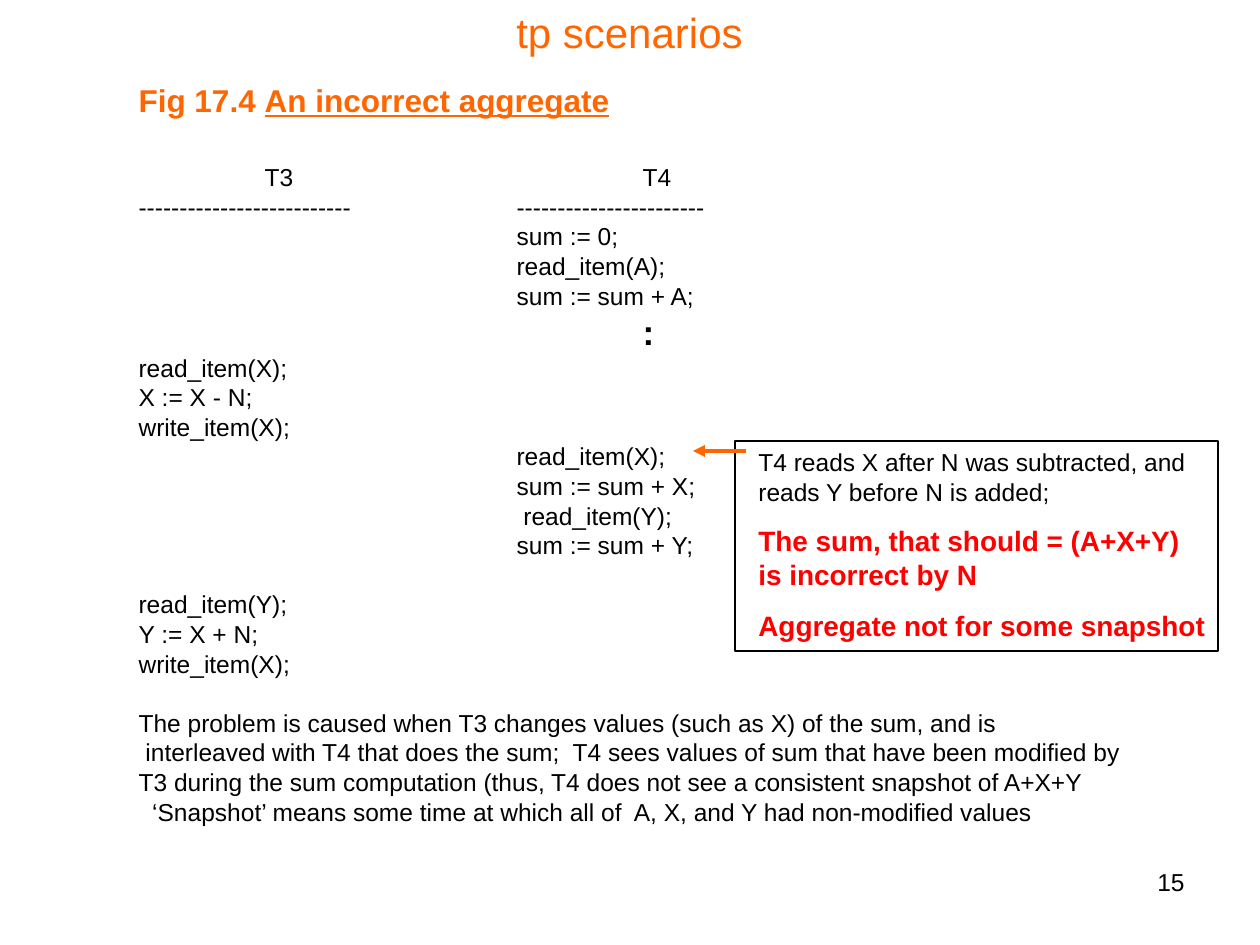
from lxml.etree import SubElement
from pptx import Presentation
from pptx.dml.color import RGBColor
from pptx.enum.shapes import MSO_CONNECTOR, MSO_SHAPE
from pptx.enum.text import MSO_ANCHOR, MSO_AUTO_SIZE, PP_ALIGN
from pptx.oxml.ns import qn
from pptx.util import Pt

INCH = 126
SCALE = 914400 / INCH
ORANGE, BLACK, RED = "FF6600", "000000", "FF0000"

STEPS = [
    "\tT3\t\t\tT4",
    "--------------------------\t\t-----------------------",
    "\t\t\tsum := 0;",
    "\t\t\tread_item(A);",
    "\t\t\tsum := sum + A;",
    "\t\t\t\t:",
    "read_item(X);",
    "X := X - N;",
    "write_item(X);",
    "\t\t\tread_item(X);",
    "\t\t\tsum := sum + X;",
    "\t\t\t read_item(Y);",
    "\t\t\tsum := sum + Y;",
    "read_item(Y);",
    "Y := X + N;",
    "write_item(X);",
    "The problem is caused when T3 changes values (such as X) of the sum, and is",
    " interleaved with T4 that does the sum;  T4 sees values of sum that have been modified by",
    "T3 during the sum computation (thus, T4 does not see a consistent snapshot of A+X+Y",
    "  ‘Snapshot’ means some time at which all of  A, X, and Y had non-modified values",
]
GAP_BEFORE = {0: 25.5, 13: 20.4, 16: 20.4}
ELLIPSIS_STEP = 5


def px(n):
    return round(n * SCALE)


def color(value):
    return RGBColor.from_string(value)


def place(sp, box):
    sp.left, sp.top, sp.width, sp.height = [px(n) for n in box]
    tf = sp.text_frame
    tf.word_wrap = True
    tf.auto_size = MSO_AUTO_SIZE.NONE
    return tf


def add_run(p, text, size, fill=BLACK, bold=False, underline=False):
    r = p.add_run()
    r.text = text
    r.font.name = "Arial"
    r.font.size = Pt(size)
    r.font.bold = bold
    r.font.underline = underline
    r.font.color.rgb = color(fill)


def next_paragraph(tf, before=0, spacing=1.0, align=PP_ALIGN.LEFT):
    p = tf.paragraphs[0]
    if p.runs:
        p = tf.add_paragraph()
    p.alignment = align
    p.space_before = Pt(before)
    p.line_spacing = spacing
    p._p.get_or_add_pPr().set("defTabSz", str(px(INCH)))
    return p


def add_title(s, box):
    tf = place(s.shapes.title, box)
    tf.vertical_anchor = MSO_ANCHOR.MIDDLE
    p = next_paragraph(tf, align=PP_ALIGN.CENTER)
    add_run(p, "tp scenarios", 24, ORANGE)


def add_schedule(s, box):
    tf = place(s.placeholders[1], box)
    tf.vertical_anchor = MSO_ANCHOR.TOP
    p = next_paragraph(tf, 4.5, 0.8)
    add_run(p, "\t", 32, bold=True)
    add_run(p, "Fig 17.4 ", 18, ORANGE, bold=True)
    add_run(p, "An incorrect aggregate", 18, ORANGE, bold=True, underline=True)
    for i, step in enumerate(STEPS):
        ellipsis = i == ELLIPSIS_STEP
        p = next_paragraph(tf, 5 if ellipsis else GAP_BEFORE.get(i, 3.5), 0.8)
        p.level = 2
        add_run(p, step, 20 if ellipsis else 14, bold=ellipsis)


def add_note(s, box):
    x, y, w, h = box
    frame = s.shapes.add_shape(MSO_SHAPE.RECTANGLE, *[px(n) for n in box])
    frame.shadow.inherit = False
    frame.fill.background()
    frame.line.color.rgb = color(BLACK)
    frame.line.width = Pt(0.75)

    tf = place(s.shapes.add_textbox(0, 0, 0, 0), (x + 11, y, w, h))
    notes = [
        ("T4 reads X after N was subtracted, and reads Y before N is added;", 14, BLACK, False, 8.8),
        ("The sum, that should = (A+X+Y)  is incorrect by N", 16, RED, True, 10),
        ("Aggregate not for some snapshot", 16, RED, True, 10),
    ]
    for text, size, fill, bold, before in notes:
        add_run(next_paragraph(tf, before), text, size, fill, bold)

    arrow = s.shapes.add_connector(
        MSO_CONNECTOR.STRAIGHT, px(x + 11), px(y + 10), px(x - 42), px(y + 10))
    arrow.line.color.rgb = color(ORANGE)
    arrow.line.width = Pt(2.25)
    SubElement(arrow.line._get_or_add_ln(), qn("a:tailEnd"), type="triangle")
    SubElement(arrow._element.spPr, qn("a:effectLst"))


def add_page_number(s, box):
    tf = place(s.shapes.add_textbox(0, 0, 0, 0), box)
    add_run(next_paragraph(tf, align=PP_ALIGN.RIGHT), "15", 14)


def main():
    prs = Presentation()
    prs.slide_width, prs.slide_height = px(1260), px(945)
    s = prs.slides.add_slide(prs.slide_layouts[0])
    add_title(s, (94, 0, 1071, 63))
    add_schedule(s, (0, 63, 1239, 840))
    add_note(s, (735, 441, 483, 210))
    add_page_number(s, (903, 861, 294, 66))
    prs.save("out.pptx")


if __name__ == "__main__":
    main()
